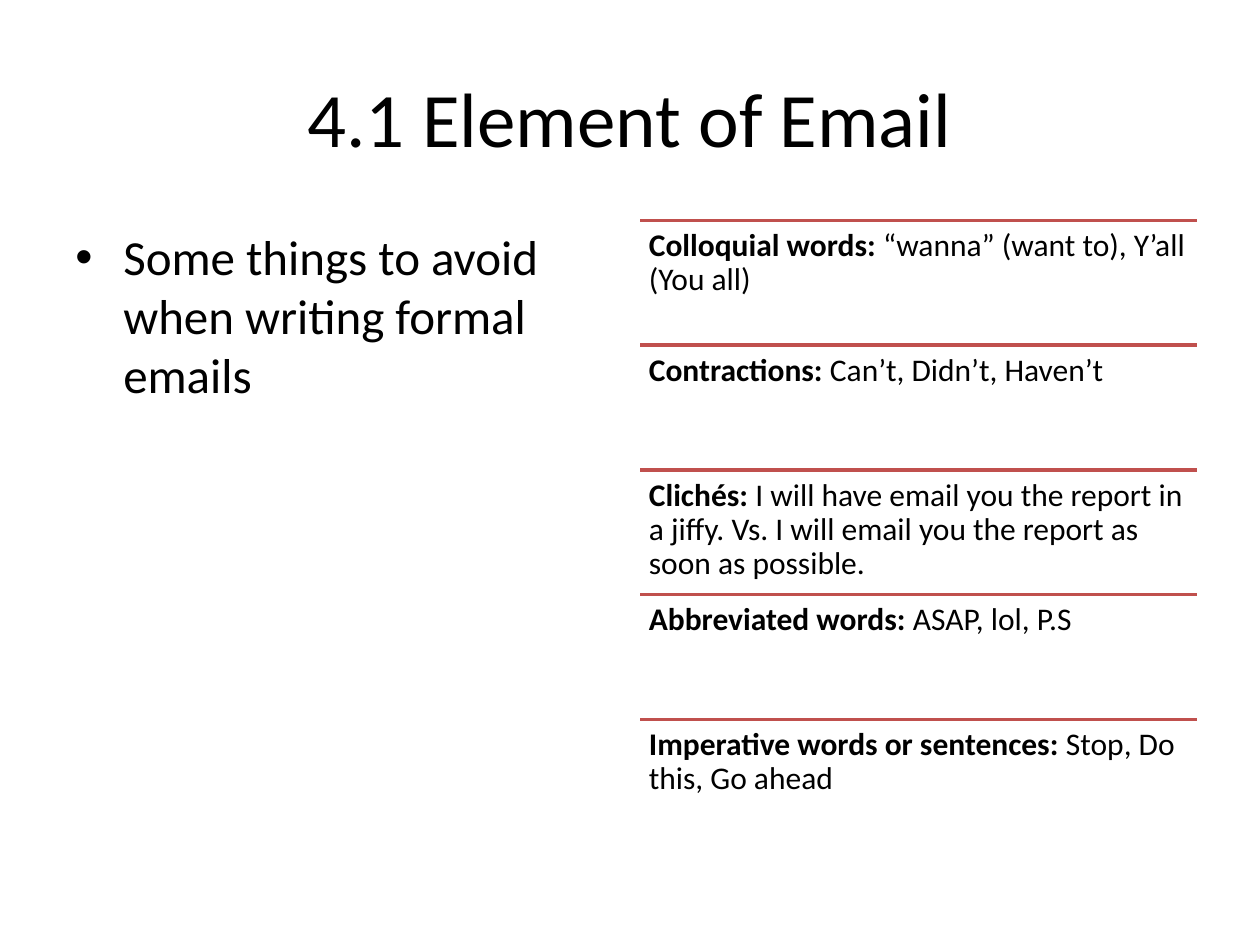
from dataclasses import dataclass

from lxml import etree
from pptx import Presentation
from pptx import util as u
from pptx.dml.color import RGBColor
from pptx.enum import shapes, text
from pptx.oxml.ns import qn

TITLE = "4.1 Element of Email"
PROMPT = "Some things to avoid when writing formal emails"
HABITS = [
    ("Colloquial words:", "“wanna” (want to), Y’all (You all)"),
    ("Contractions:", "Can’t, Didn’t, Haven’t"),
    ("Clichés:", "I will have email you the report in a jiffy. "
                 "Vs. I will email you the report as soon as possible."),
    ("Abbreviated words:", "ASAP, lol, P.S"),
    ("Imperative words or sentences:", "Stop, Do this, Go ahead"),
]


@dataclass(frozen=True)
class Theme:
    font: str = "Calibri"
    ink: RGBColor = RGBColor(0x00, 0x00, 0x00)
    rule: RGBColor = RGBColor(0xC0, 0x50, 0x4D)
    rule_width: float = 2
    title_size: int = 44
    prompt_size: int = 28
    habit_size: int = 18


THEME = Theme()
MARGIN, COLUMN_WIDTH = 0.5, 4.42
LIST_LEFT = 10 - MARGIN - COLUMN_WIDTH
BODY_TOP, BODY_HEIGHT = 1.75, 4.95
ROW_HEIGHT = BODY_HEIGHT / len(HABITS)


def add_text(page, area, size, inset=None):
    """Add a wrapping text box; return its frame and styled first paragraph."""
    frame = page.shapes.add_textbox(*map(u.Inches, area)).text_frame
    frame.word_wrap = True
    if inset is not None:
        frame.margin_left = frame.margin_right = u.Inches(inset)
        frame.margin_top = frame.margin_bottom = u.Inches(inset)
    para = frame.paragraphs[0]
    para.font.name = THEME.font
    para.font.size = u.Pt(size)
    para.font.color.rgb = THEME.ink
    return frame, para


def add_bullet(para, indent):
    properties = para._p.get_or_add_pPr()
    properties.set("marL", str(u.Inches(indent)))
    properties.set("indent", str(-u.Inches(indent)))
    font = etree.Element(qn("a:buFont"), typeface="Arial")
    bullet = etree.Element(qn("a:buChar"), char="•")
    defaults = properties.find(qn("a:defRPr"))
    defaults.addprevious(font)
    defaults.addprevious(bullet)


def add_rule(page, top):
    left, right, y = map(u.Inches, (LIST_LEFT, LIST_LEFT + COLUMN_WIDTH, top))
    rule = page.shapes.add_connector(shapes.MSO_CONNECTOR.STRAIGHT, left, y, right, y)
    rule.line.color.rgb = THEME.rule
    rule.line.width = u.Pt(THEME.rule_width)
    etree.SubElement(rule._element.spPr, qn("a:effectLst"))


def add_habit(page, top, label, examples):
    add_rule(page, top)
    area = (LIST_LEFT, top, COLUMN_WIDTH, ROW_HEIGHT)
    _, para = add_text(page, area, THEME.habit_size, inset=0.07)
    para.line_spacing = 0.9
    for words, bold in ((label, True), (" " + examples, False)):
        span = para.add_run()
        span.text = words
        span.font.bold = bold


def main():
    deck = Presentation()
    deck.slide_width, deck.slide_height = u.Inches(10), u.Inches(7.5)
    page = deck.slides.add_slide(deck.slide_layouts[6])

    frame, para = add_text(page, (MARGIN, 0.3, 9, 1.25), THEME.title_size)
    frame.vertical_anchor = text.MSO_ANCHOR.MIDDLE
    para.alignment = text.PP_ALIGN.CENTER
    para.add_run().text = TITLE

    area = (MARGIN, BODY_TOP, COLUMN_WIDTH, BODY_HEIGHT)
    _, para = add_text(page, area, THEME.prompt_size)
    para.space_before = u.Pt(0.2 * THEME.prompt_size)
    add_bullet(para, 0.38)
    para.add_run().text = PROMPT

    for row, (label, examples) in enumerate(HABITS):
        add_habit(page, BODY_TOP + row * ROW_HEIGHT, label, examples)

    deck.save("out.pptx")


if __name__ == "__main__":
    main()
